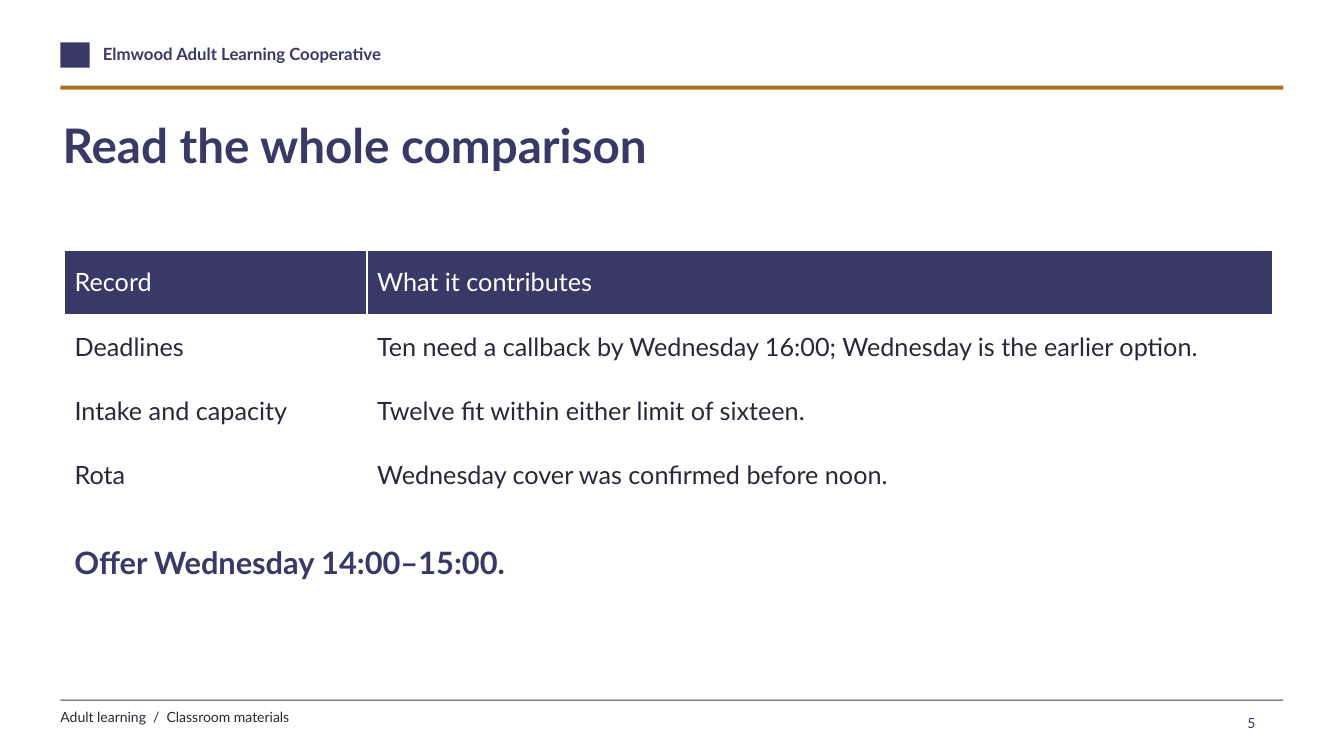
from pptx import Presentation
from pptx.dml.color import RGBColor
from pptx.enum.shapes import MSO_SHAPE
from pptx.enum.text import MSO_ANCHOR, MSO_AUTO_SIZE, PP_ALIGN
from pptx.util import Pt

RECTANGLE = MSO_SHAPE.RECTANGLE
MIDDLE, TOP = MSO_ANCHOR.MIDDLE, MSO_ANCHOR.TOP
LEFT, RIGHT = PP_ALIGN.LEFT, PP_ALIGN.RIGHT
NO_FIT = MSO_AUTO_SIZE.NONE

PX = 9144  # 100 px to the inch
FONT = "Lato"
COLORS = {"navy": "393967", "ochre": "A87323", "ink": "29283A", "white": "FFFFFF"}

TITLE_ONLY = 5
COLUMN_WIDTHS = (300, 898)
RECORDS = [
    ("Record", "What it contributes"),
    ("Deadlines", "Ten need a callback by Wednesday 16:00; Wednesday is the earlier option."),
    ("Intake and capacity", "Twelve fit within either limit of sixteen."),
    ("Rota", "Wednesday cover was confirmed before noon."),
]


def color(name):
    return RGBColor.from_string(COLORS[name])


def scaled(*lengths):
    return [length * PX for length in lengths]


def write(frame, text, size, color_name, bold=False, align=LEFT):
    frame.text = text
    para = frame.paragraphs[0]
    para.alignment = align
    font = para.runs[0].font
    font.name, font.size, font.bold = FONT, Pt(size), bold
    font.color.rgb = color(color_name)


def set_insets(frame, across, down):
    frame.margin_left = frame.margin_right = across * PX
    frame.margin_top = frame.margin_bottom = down * PX


def add_text(page, box, text, size, color_name, bold=False, align=LEFT, insets=(0, 0)):
    frame = page.shapes.add_textbox(*scaled(*box)).text_frame
    frame.word_wrap = True
    set_insets(frame, *insets)
    write(frame, text, size, color_name, bold, align)


def add_block(page, box, color_name):
    block = page.shapes.add_shape(RECTANGLE, *scaled(*box))
    block.shadow.inherit = False
    block.fill.solid()
    block.fill.fore_color.rgb = color(color_name)
    block.line.fill.background()


def add_header(page, box):
    left, top, width, height = box
    # Plain emblem, organisation name and rule
    add_block(page, (left, top, 29, 25), "navy")
    add_text(page, (left + 42, top + 1, 600, 28),
             "Elmwood Adult Learning Cooperative", 12, "navy", bold=True)
    add_block(page, (left, top + height - 4, width, 4), "ochre")


def add_title(page, box, text):
    title = page.shapes.title
    title.left, title.top, title.width, title.height = scaled(*box)
    frame = title.text_frame
    frame.auto_size = NO_FIT
    frame.vertical_anchor = TOP
    set_insets(frame, 0, 0)
    write(frame, text, 34, "navy", bold=True)


def add_record_table(page, box):
    table = page.shapes.add_table(len(RECORDS), len(COLUMN_WIDTHS), *scaled(*box)).table
    table.horz_banding = False
    for column, width in zip(table.columns, COLUMN_WIDTHS):
        column.width = width * PX
    for row_number, record in enumerate(RECORDS):
        fill, ink = ("white", "ink") if row_number else ("navy", "white")
        for column_number, text in enumerate(record):
            cell = table.cell(row_number, column_number)
            cell.fill.solid()
            cell.fill.fore_color.rgb = color(fill)
            cell.vertical_anchor = MIDDLE
            write(cell.text_frame, text, 18, ink)


def add_footer(page, box, number):
    left, top, width, height = box
    add_block(page, (left, top, width, 1), "navy")
    add_text(page, (left, top + 9, 700, 23),
             "Adult learning  /  Classroom materials", 10, "ink")
    add_text(page, (left + width - 73, top + 10, 55, 22), number, 10, "navy",
             align=RIGHT, insets=(10, 5))


def build_comparison(deck):
    page = deck.slides.add_slide(deck.slide_layouts[TITLE_ONLY])
    page.background.fill.solid()
    page.background.fill.fore_color.rgb = color("white")
    add_header(page, (60, 42, 1213, 47))
    add_title(page, (62, 115, 1200, 105), "Read the whole comparison")
    add_record_table(page, (64, 248, 1198, 255))
    # Conclusion
    add_text(page, (64, 535, 1180, 60), "Offer Wednesday 14:00–15:00.", 22, "navy",
             bold=True, insets=(10, 5))
    add_footer(page, (60, 694, 1213, 32), "5")


def main():
    deck = Presentation()
    deck.slide_width, deck.slide_height = scaled(1333, 750)
    build_comparison(deck)
    deck.save("out.pptx")


if __name__ == "__main__":
    main()
